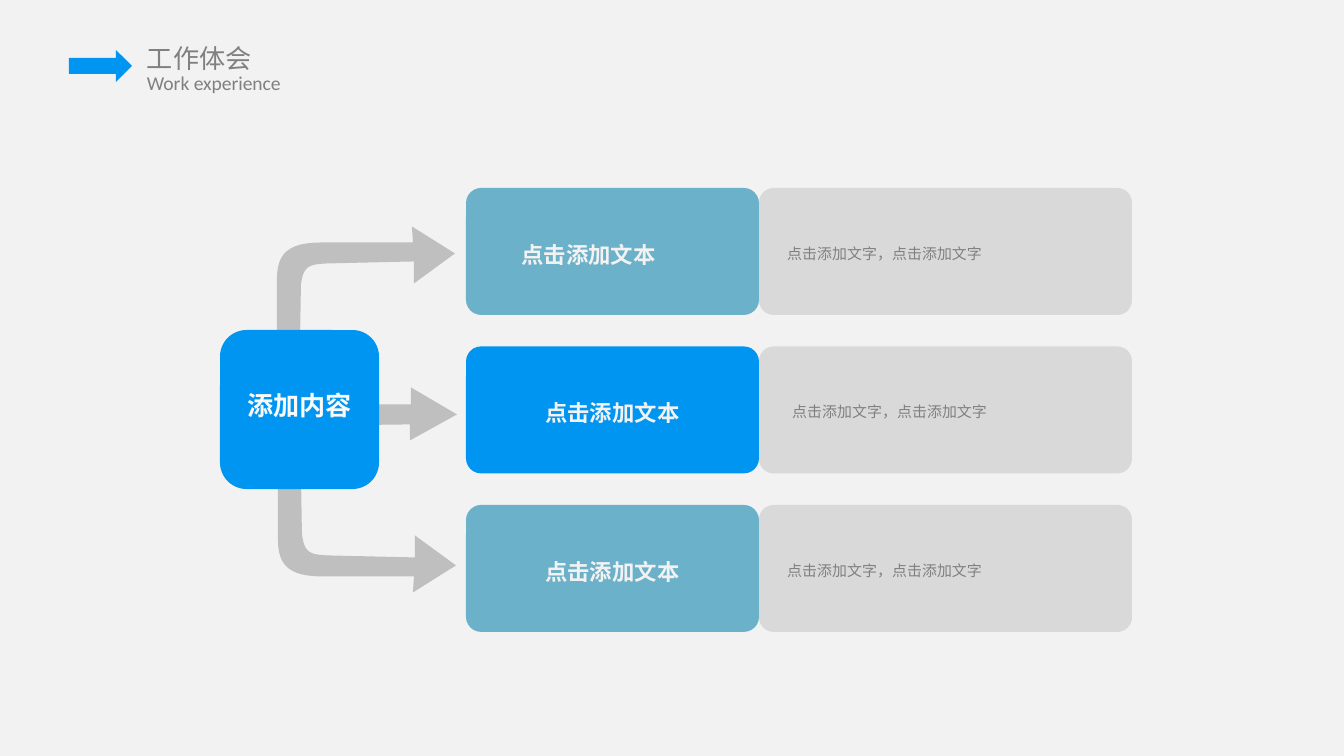
from dataclasses import dataclass

from lxml import etree
from pptx import Presentation
from pptx import util as u
from pptx.dml.color import RGBColor
from pptx.enum import shapes, text
from pptx.oxml.ns import qn

PX = 914400 / 134.4


@dataclass(frozen=True)
class Theme:
    """Colours, fonts and type sizes of the slide."""
    back: str = "F2F2F2"
    blue: str = "0095F0"
    teal: str = "6BB1C9"
    panel: str = "D9D9D9"
    arrow: str = "BFBFBF"
    grey: str = "808080"
    light: str = "F2F2F2"
    bright: str = "F9F9F9"
    cjk: str = "Noto Sans CJK SC"
    latin: str = "Calibri"
    title: float = 14
    subtitle: float = 10.5
    label: float = 12
    note: float = 8


T = Theme()


def emu(*px):
    """Turn pixel lengths into EMU."""
    return [u.Emu(round(v * PX)) for v in px]


def paint(sp, color):
    """Give a shape a flat fill with no line or shadow."""
    sp.shadow.inherit = False
    sp.fill.solid()
    sp.fill.fore_color.rgb = RGBColor.from_string(color)
    sp.line.fill.background()
    return sp


def write(sp, words, size, color, font=T.cjk, bold=False, align="LEFT",
          insets=(9, 5, 9, 5), spacing=1.2):
    """Write one formatted line of text into a shape."""
    tf = sp.text_frame
    tf.word_wrap = True
    tf.margin_left, tf.margin_top, tf.margin_right, tf.margin_bottom = emu(*insets)
    p = tf.paragraphs[0]
    p.text = words
    p.alignment = getattr(text.PP_ALIGN, align)
    p.line_spacing = spacing
    r = p.runs[0]
    r.font.size, r.font.bold, r.font.name = u.Pt(size), bold, font
    r.font.color.rgb = RGBColor.from_string(color)
    etree.SubElement(r.font._element, qn("a:ea")).set("typeface", font)


def card(s, box, color, radius, words, size, ink, **style):
    """Draw a rounded box with vertically centred text."""
    sp = paint(s.shapes.add_shape(shapes.MSO_SHAPE.ROUNDED_RECTANGLE, *emu(*box)), color)
    sp.adjustments[0] = radius
    sp.text_frame.vertical_anchor = text.MSO_ANCHOR.MIDDLE
    write(sp, words, size, ink, **style)


def trace(segments, steps=12):
    """Turn line and cubic segments into a list of points."""
    pts = []
    for seg in segments:
        if len(seg) == 2:
            pts.append(seg)
            continue
        (x0, y0), (x1, y1, x2, y2, x3, y3) = pts[-1], seg
        for i in range(1, steps + 1):
            t = i / steps
            a, b, c, d = (1 - t) ** 3, 3 * t * (1 - t) ** 2, 3 * t * t * (1 - t), t ** 3
            pts.append((a * x0 + b * x1 + c * x2 + d * x3,
                        a * y0 + b * y1 + c * y2 + d * y3))
    return pts


def outline(s, x, y, segments, flip=1):
    """Draw a closed grey outline from an anchor, optionally mirrored upward."""
    pts = [emu(x + dx, y + flip * dy) for dx, dy in trace(segments)]
    fb = s.shapes.build_freeform(*pts[0])
    fb.add_line_segments(pts[1:], close=True)
    paint(fb.convert_to_shape(), T.arrow)


def header(s, x, y):
    """Place the heading arrow with its title and subtitle."""
    paint(s.shapes.add_shape(shapes.MSO_SHAPE.RIGHT_ARROW, *emu(x, y + 15, 63, 32)), T.blue)
    for words, dy, w, h, size, font in (
            ("工作体会", 0, 145, 46, T.title, T.cjk),
            ("Work experience", 29, 175, 38, T.subtitle, T.latin)):
        sp = s.shapes.add_textbox(*emu(x + 63, y + dy, w, h))
        write(sp, words, size, T.grey, font, insets=(15, 7, 5, 7), spacing=1)


def hub(s, x, y, side):
    """Place the central box and the three arrows leaving it."""
    bend = [(22, 0), (24, 124), (26, 145, 34, 145, 50, 146), (137, 148), (137, 126),
            (178, 156), (135, 183), (136, 167), (45, 167), (11, 167, 0, 156, 0, 130),
            (0, -3), (4, -24, 18, -22, 22, 0)]
    straight = [(0, 12), (164, 10), (164, 26), (211, 0), (165, -27), (165, -10), (0, -10)]
    mid = y + side / 2
    outline(s, x + 58, mid, bend)
    outline(s, x + 26, mid + 5, straight)
    outline(s, x + 57, mid, bend, flip=-1)
    card(s, (x, y, side, side), T.blue, 0.167, "添加内容", T.title, T.bright,
         bold=True, align="CENTER", insets=(13, 5, 13, 20))


def row(s, x, y, w, h, color, align, label_inset, note_inset):
    """Place a coloured label with its grey note panel."""
    split = 293
    card(s, (x + split, y, w - split, h), T.panel, 0.115, "点击添加文字，点击添加文字",
         T.note, T.grey, insets=(note_inset, 5, 9, 5))
    card(s, (x, y, split, h), color, 0.119, "点击添加文本", T.label, T.light,
         bold=True, align=align, insets=(label_inset, 5, 9, 5))


def main():
    """Build the slide and save it."""
    prs = Presentation()
    prs.slide_width, prs.slide_height = emu(1344, 756)
    s = prs.slides.add_slide(prs.slide_layouts[6])
    s.background.fill.solid()
    s.background.fill.fore_color.rgb = RGBColor.from_string(T.back)
    header(s, 69, 35)
    hub(s, 220, 330, 159)
    rows = ((T.teal, "LEFT", 51, 24), (T.blue, "CENTER", 9, 29), (T.teal, "CENTER", 9, 24))
    for i, style in enumerate(rows):
        row(s, 466, 188 + 158.5 * i, 666, 127, *style)
    prs.save("out.pptx")


if __name__ == "__main__":
    main()
